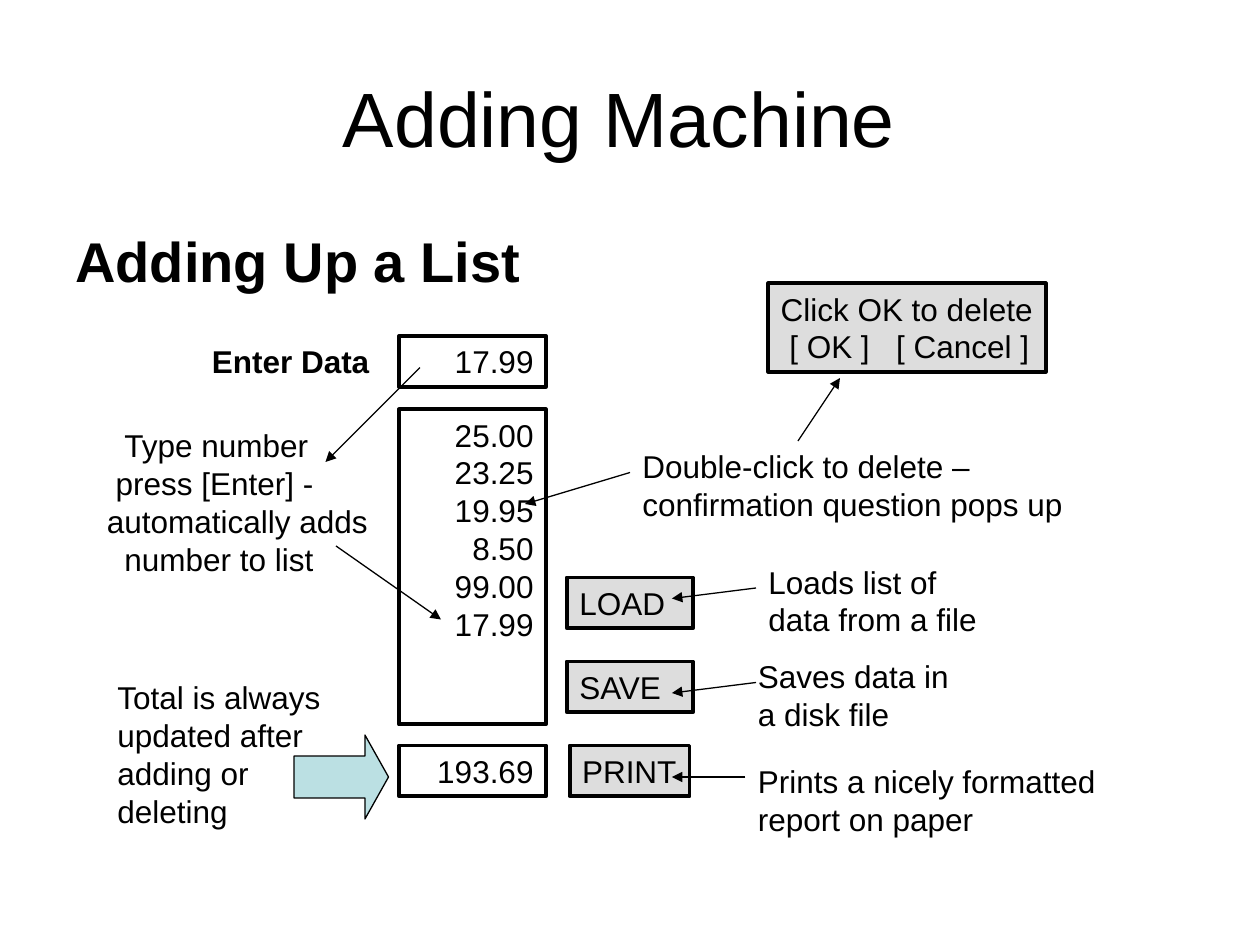
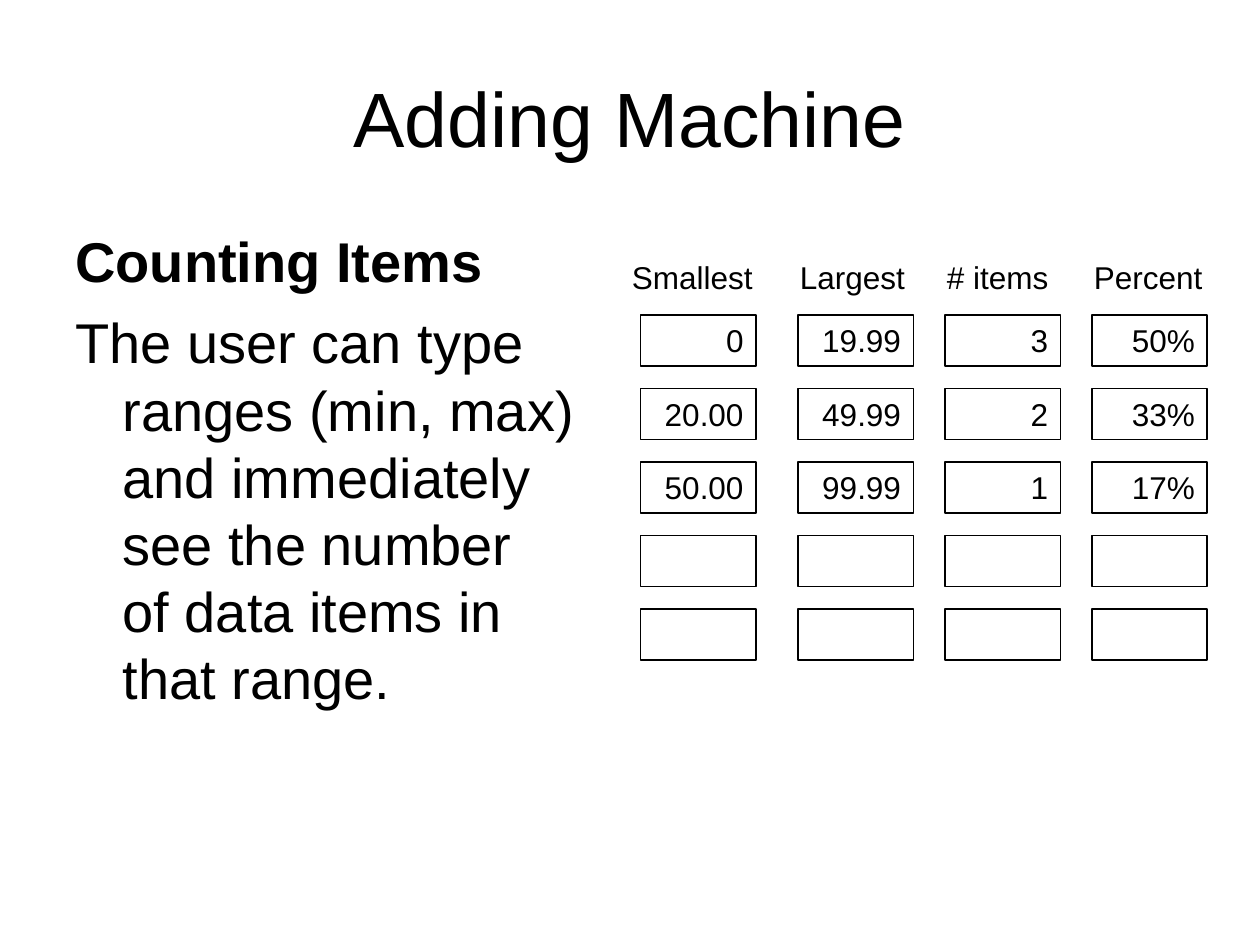
import pptx
import pptx.dml.color
import pptx.enum.shapes
import pptx.enum.text
import pptx.oxml.ns
import pptx.util
from lxml import etree

Pt = pptx.util.Pt
color = pptx.dml.color.RGBColor.from_string
qn = pptx.oxml.ns.qn
SHAPE = pptx.enum.shapes.MSO_SHAPE
LEFT = pptx.enum.text.PP_ALIGN.LEFT
RIGHT = pptx.enum.text.PP_ALIGN.RIGHT
BLACK = "000000"
GREY = "DDDDDD"
TEAL = "BBE0E3"
FONT = "Arial"


def add_text(slide, text, x, y, w, h, line=0, fill=None, align=LEFT,
             size=18, bold=False, wrap=True):
    if line:
        sp = slide.shapes.add_shape(SHAPE.RECTANGLE, Pt(x), Pt(y), Pt(w), Pt(h))
        sp.shadow.inherit = False
        sp.line.color.rgb = color(BLACK)
        sp.line.width = Pt(line)
        if fill:
            sp.fill.solid()
            sp.fill.fore_color.rgb = color(fill)
        else:
            sp.fill.background()
    else:
        sp = slide.shapes.add_textbox(Pt(x), Pt(y), Pt(w), Pt(h))
    tf = sp.text_frame
    tf.word_wrap = wrap
    tf.vertical_anchor = pptx.enum.text.MSO_ANCHOR.TOP
    tf.text = text
    for p in tf.paragraphs:
        p.alignment = align
        p.font.name = FONT
        p.font.size = Pt(size)
        p.font.bold = bold
        p.font.color.rgb = color(BLACK)
    return sp


def add_titled_slide(title, body):
    slide = prs.slides.add_slide(prs.slide_layouts[5])
    sp = slide.shapes.title
    sp.left, sp.top, sp.width, sp.height = Pt(36), Pt(21.6), Pt(648), Pt(90)
    sp.text_frame.text = title
    p = sp.text_frame.paragraphs[0]
    p.alignment = pptx.enum.text.PP_ALIGN.CENTER
    p.font.name = FONT
    p.font.size = Pt(44)
    p.font.color.rgb = color(BLACK)
    sp = add_text(slide, body, 36, 126, 648, 356.4, size=32)
    for i, p in enumerate(sp.text_frame.paragraphs):
        p.font.bold = i == 0
        p.space_before = Pt(8 if i else 0)
        pPr = p._p.get_or_add_pPr()
        pPr.set("marL", str(Pt(27)))
        pPr.set("indent", str(Pt(-27)))
    return slide


prs = pptx.Presentation()
prs.slide_width, prs.slide_height = Pt(720), Pt(540)

slide = add_titled_slide("Adding Machine ", "Adding Up a List")

for text, y, h in [
    ("25.00\n23.25\n19.95\n8.50\n99.00\n17.99", 234, 180),
    ("17.99", 192, 29),
    ("193.69", 426, 29),
]:
    add_text(slide, text, 228, y, 84, h, line=2.25, align=RIGHT)

for text, x, y, w in [("LOAD", 324, 330, 72), ("SAVE", 324, 378, 72), ("PRINT", 325.5, 426, 68.5)]:
    add_text(slide, text, x, y, w, 29, line=2.25, fill=GREY, wrap=False)

sp = add_text(slide, "Click OK to delete\n\t[ OK ]\t[ Cancel ]", 439, 162, 158.5, 50.5,
              line=2.25, fill=GREY, wrap=False)
pPr = sp.text_frame.paragraphs[1]._p.get_or_add_pPr()
tabs = etree.Element(qn("a:tabLst"))
for pos in (5, 66):
    etree.SubElement(tabs, qn("a:tab"), pos=str(Pt(pos)), algn="l")
pPr.insert_element_before(tabs, "a:defRPr", "a:extLst")

sp = add_text(slide, "Type number\npress [Enter] -\nautomatically adds\nnumber to list",
              54, 240, 168, 93.5)
for p, indent in zip(sp.text_frame.paragraphs, (10, 5, 0, 10)):
    p._p.get_or_add_pPr().set("marL", str(Pt(indent)))

for text, x, y, w, h in [
    ("Double-click to delete –\nconfirmation question pops up", 360, 252, 270, 50.5),
    ("Total is always\nupdated after\nadding or deleting", 60, 384, 144, 93.5),
    ("Loads list of data from a file", 432, 318, 144, 50.5),
    ("Saves data in\na disk file", 426, 372, 144, 50.5),
    ("Prints a nicely formatted report on paper", 426, 432, 216, 50.5),
]:
    add_text(slide, text, x, y, w, h)
add_text(slide, "Enter Data", 114, 192, 114, 29, bold=True)

sp = slide.shapes.add_shape(SHAPE.RIGHT_ARROW, Pt(168), Pt(420), Pt(54), Pt(48))
sp.adjustments[0], sp.adjustments[1] = 0.5, 0.28
sp.shadow.inherit = False
sp.fill.solid()
sp.fill.fore_color.rgb = color(TEAL)
sp.line.color.rgb = color(BLACK)
sp.line.width = Pt(0.75)

for x1, y1, x2, y2 in [
    (240, 210, 186, 264),
    (192, 312, 252, 354),
    (360, 270, 300, 288),
    (456, 252, 480, 216),
    (432, 336, 384, 342),
    (432, 390, 384, 396),
    (426, 444, 384, 444),
]:
    cx = slide.shapes.add_connector(pptx.enum.shapes.MSO_CONNECTOR.STRAIGHT,
                                    Pt(x1), Pt(y1), Pt(x2), Pt(y2))
    cx.line.color.rgb = color(BLACK)
    cx.line.width = Pt(0.75)
    etree.SubElement(cx.line._get_or_add_ln(), qn("a:tailEnd"), type="triangle")
    etree.SubElement(cx._element.spPr, qn("a:effectLst"))

slide = add_titled_slide(
    "Adding Machine",
    "Counting Items\nThe user can type\vranges (min, max)\vand immediately\v"
    "see the number\vof data items in\vthat range.")

columns = [
    ("Smallest", 354, 366, ["0", "20.00", "50.00", "", ""]),
    ("Largest", 450, 456, ["19.99", "49.99", "99.99", "", ""]),
    ("# items", 534, 540, ["3", "2", "1", "", ""]),
    ("Percent", 618, 624, ["50%", "33%", "17%", "", ""]),
]
for heading, heading_x, cell_x, values in columns:
    add_text(slide, heading, heading_x, 144, 86, 29)
    for row, value in enumerate(values):
        add_text(slide, value, cell_x, 180 + 42 * row, 66, 29.2, line=1, align=RIGHT)

prs.save("out.pptx")
